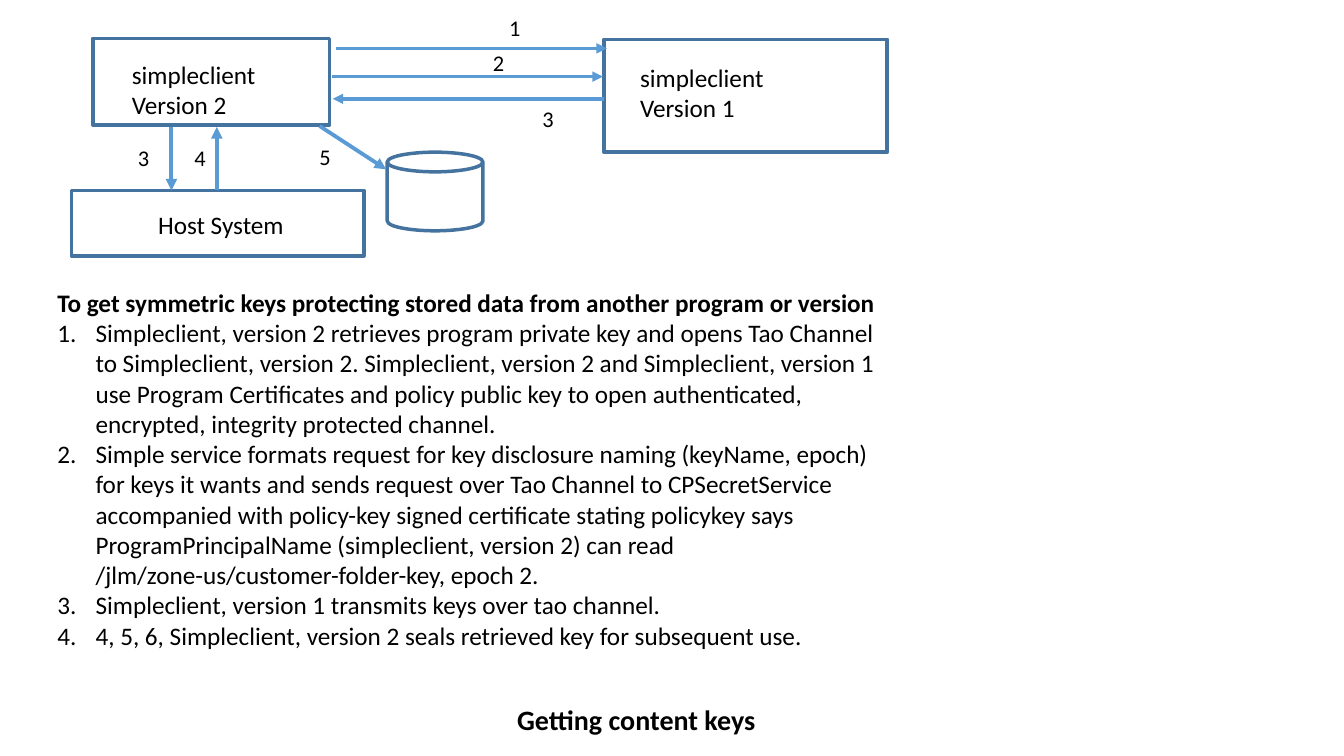
import pptx
import pptx.dml.color
import pptx.enum.shapes
import pptx.oxml
import pptx.oxml.ns
import pptx.util

Inches, Pt = pptx.util.Inches, pptx.util.Pt
SHAPES = pptx.enum.shapes.MSO_SHAPE

THEME = dict(font="Calibri", text="000000", outline="43739E", arrow="5B9BD5",
             body=18, label=16, title=20, outline_width=2.5, indent=0.38)

# Content: places are left, top, width, height in inches
TITLE = ("Getting content keys", (5.03, 6.92, 2.6, 0.44))
NODES = [
    (SHAPES.RECTANGLE, (0.71, 1.89, 2.9, 0.65)),
    (SHAPES.RECTANGLE, (0.92, 0.38, 2.35, 0.86)),
    (SHAPES.RECTANGLE, (5.99, 0.39, 2.81, 1.12)),
    (SHAPES.CAN, (3.84, 1.51, 0.95, 0.78)),
]
NODE_NAMES = [
    (["Host System"], (1.47, 2.03, 1.74, 0.4)),
    (["simpleclient", "Version 2"], (1.21, 0.54, 2.4, 0.71)),
    (["simpleclient", "Version 1"], (6.25, 0.57, 2.4, 0.71)),
]
# Start, end, line width; the arrowhead sits at the end
ARROWS = [
    ((3.33, 0.48), (6.02, 0.48), 2.5),
    ((3.29, 0.76), (5.98, 0.76), 2.5),
    ((5.99, 0.98), (3.3, 0.98), 2.5),
    ((1.7, 1.26), (1.7, 1.89), 2.75),
    ((2.15, 1.89), (2.15, 1.26), 2.75),
    ((3.17, 1.25), (3.83, 1.68), 2.75),
]
# Step number, left, top
STEP_LABELS = [("1", 4.95, 0.09), ("2", 4.79, 0.44), ("3", 5.28, 0.99),
               ("3", 1.27, 1.38), ("4", 1.83, 1.38), ("5", 3.07, 1.37)]
HEADING = "To get symmetric keys protecting stored data from another program or version"
STEPS = [
    "Simpleclient, version 2 retrieves program private key and opens Tao Channel "
    "to Simpleclient, version 2. Simpleclient, version 2 and Simpleclient, version 1 "
    "use Program Certificates and policy public key to open authenticated, "
    "encrypted, integrity protected channel.",
    "Simple service formats request for key disclosure naming (keyName, epoch) "
    "for keys it wants and sends request over Tao Channel to CPSecretService "
    "accompanied with policy-key signed certificate stating policykey says "
    "ProgramPrincipalName (simpleclient, version 2) can read "
    "/jlm/zone-us/customer-folder-key, epoch 2.",
    "Simpleclient, version 1 transmits keys over tao channel.",
    "4, 5, 6, Simpleclient, version 2 seals retrieved key for subsequent use.",
]
PROCEDURE_PLACE = (0.47, 2.8, 8.36, 3.94)

deck = pptx.Presentation()
deck.slide_width, deck.slide_height = Inches(13.33), Inches(7.5)
slide = deck.slides.add_slide(deck.slide_layouts[6])


def color(name):
    return pptx.dml.color.RGBColor.from_string(THEME[name])


def add_xml(parent, tag, **attributes):
    return pptx.oxml.ns and parent.append(make_xml(tag, **attributes))


def make_xml(tag, **attributes):
    element = pptx.oxml.parse_xml(f'<a:{tag} {pptx.oxml.ns.nsdecls("a")}/>')
    for key, value in attributes.items():
        element.set(key, value)
    return element


def add_text(lines, place, size="body", bold_lines=0, numbered_from=None, wrap=True):
    """Write one paragraph per line; bold the first ones, number the later ones."""
    frame = slide.shapes.add_textbox(*map(Inches, place)).text_frame
    frame.word_wrap = wrap
    for index, line in enumerate(lines):
        paragraph = frame.paragraphs[0] if index == 0 else frame.add_paragraph()
        run = paragraph.add_run()
        run.text = line
        run.font.name, run.font.size = THEME["font"], Pt(THEME[size])
        run.font.bold = index < bold_lines
        run.font.color.rgb = color("text")
        if numbered_from is not None and index >= numbered_from:
            indent = Inches(THEME["indent"])
            properties = paragraph._p.get_or_add_pPr()
            properties.set("marL", str(indent))
            properties.set("indent", str(-indent))
            properties.append(make_xml("buFont", typeface="+mj-lt"))
            properties.append(make_xml("buAutoNum", type="arabicPeriod"))


# Programs, host and key store
for kind, place in NODES:
    node = slide.shapes.add_shape(kind, *map(Inches, place))
    node.shadow.inherit = False
    node.fill.background()
    node.line.color.rgb = color("outline")
    node.line.width = Pt(THEME["outline_width"])
for name_lines, place in NODE_NAMES:
    add_text(name_lines, place)

# Message arrows and their step numbers
for start, end, width in ARROWS:
    arrow = slide.shapes.add_connector(
        pptx.enum.shapes.MSO_CONNECTOR.STRAIGHT, *map(Inches, start + end))
    arrow.line.color.rgb = color("arrow")
    arrow.line.width = Pt(width)
    arrow.line._get_or_add_ln().append(make_xml("tailEnd", type="triangle"))
    arrow._element.spPr.append(make_xml("effectLst"))
for number, left, top in STEP_LABELS:
    add_text([number], (left, top, 0.48, 0.37), size="label")

# Procedure and slide title
add_text([HEADING] + STEPS, PROCEDURE_PLACE, bold_lines=1, numbered_from=1)
title_text, title_place = TITLE
add_text([title_text], title_place, size="title", bold_lines=1, wrap=False)

deck.save("out.pptx")
